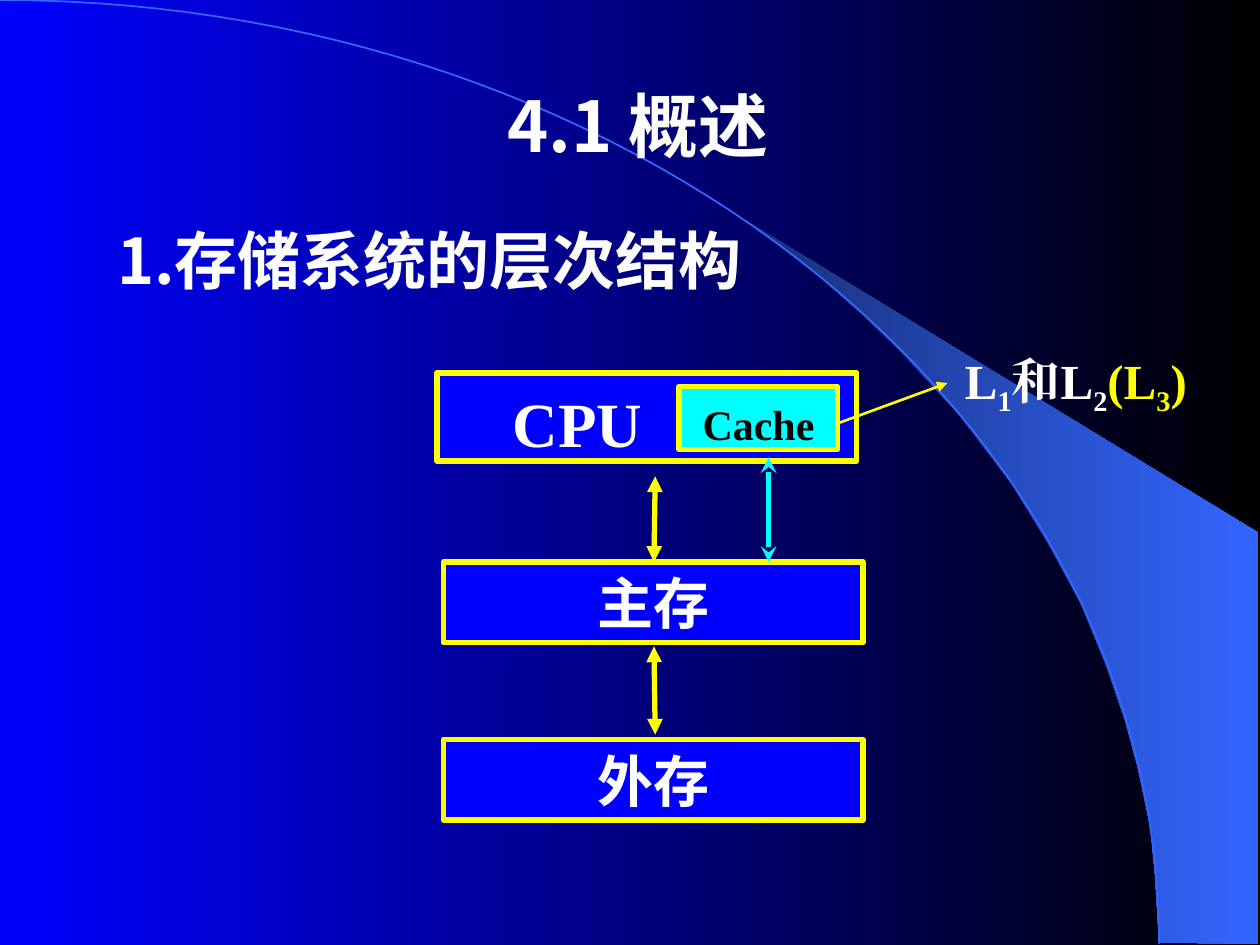
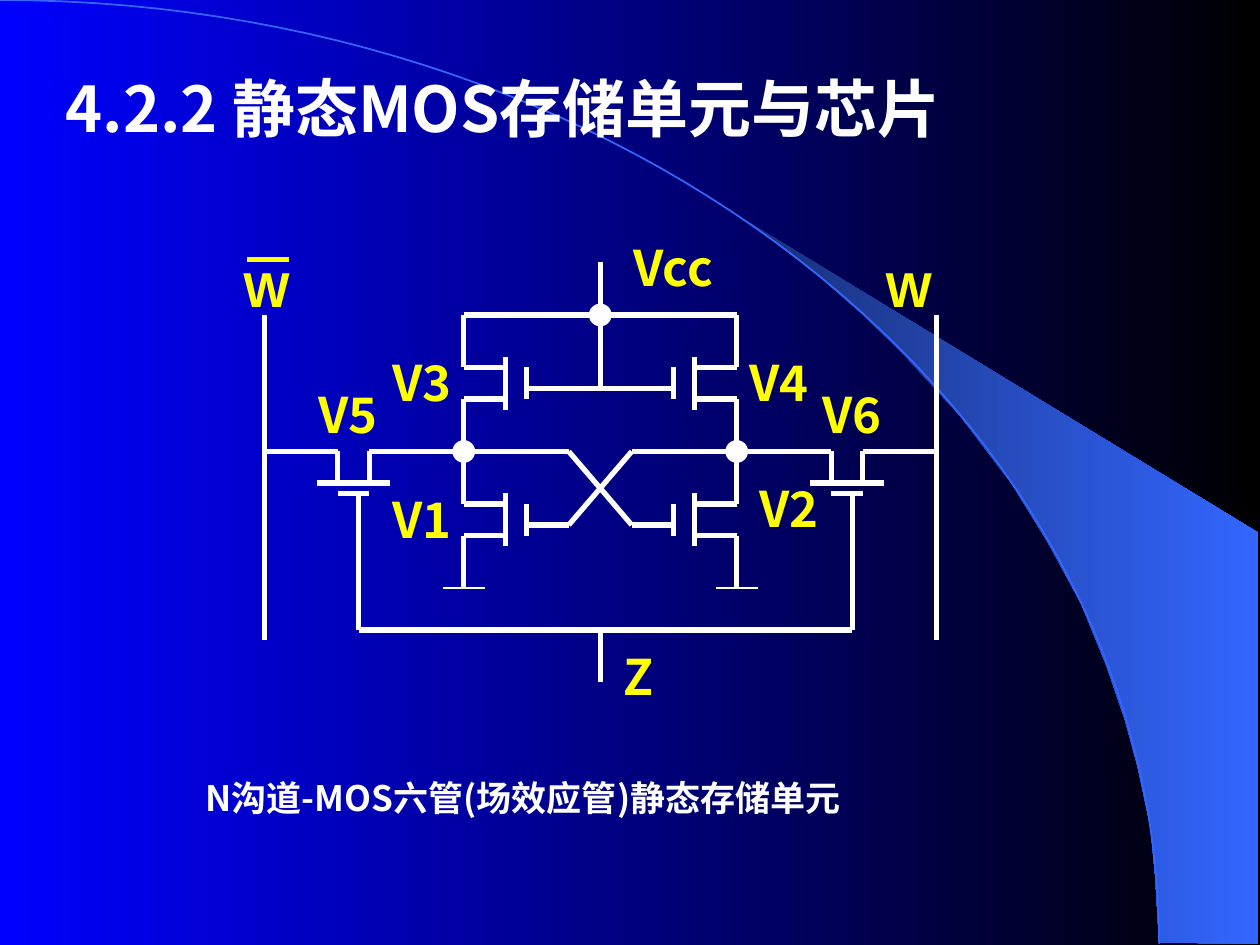
from lxml import etree
from pptx import Presentation
from pptx.dml.color import RGBColor
from pptx.enum.shapes import MSO_CONNECTOR, MSO_SHAPE
from pptx.enum.text import MSO_ANCHOR, MSO_AUTO_SIZE, PP_ALIGN
from pptx.oxml.ns import qn
from pptx.util import Pt

STRAIGHT = MSO_CONNECTOR.STRAIGHT
RECT, OVAL = MSO_SHAPE.RECTANGLE, MSO_SHAPE.OVAL
LEFT, CENTER = PP_ALIGN.LEFT, PP_ALIGN.CENTER
MIDDLE, NO_AUTOFIT = MSO_ANCHOR.MIDDLE, MSO_AUTO_SIZE.NONE

BLUE, BLACK, WHITE = "0000FF", "000000", "FFFFFF"
YELLOW, CYAN = "FFFF00", "00FFFF"
BAND_DARK, BAND_LIGHT = "182F76", "3366FF"
SANS, SERIF, ARIAL = "Noto Sans CJK SC", "Times New Roman", "Arial"
rgb = RGBColor.from_string


def write(sp, text, size, font=SANS, color=WHITE, align=LEFT,
          left=7.2, top=3.6, bottom=3.6):
    """Fill a shape with bold text, or with (text, colour, baseline) runs."""
    tf = sp.text_frame
    tf.word_wrap = True
    tf.auto_size = NO_AUTOFIT
    tf.vertical_anchor = MIDDLE
    tf.margin_left, tf.margin_right = Pt(left), Pt(7.2)
    tf.margin_top, tf.margin_bottom = Pt(top), Pt(bottom)
    p = tf.paragraphs[0]
    p.alignment = align
    p.space_before = Pt(0)
    runs = [(text, color, 0)] if isinstance(text, str) else text
    for part, part_color, baseline in runs:
        r = p.add_run()
        r.text = part
        r.font.size = Pt(size)
        r.font.bold = True
        r.font.name = font
        r.font.color.rgb = rgb(part_color)
        rPr = r._r.get_or_add_rPr()
        etree.SubElement(rPr, qn("a:ea")).set("typeface", font)
        if baseline:
            rPr.set("baseline", str(baseline * 1000))


def line(s, x1, y1, x2, y2, color=WHITE, width=3, head=None, tail=None):
    c = s.shapes.add_connector(STRAIGHT, Pt(x1), Pt(y1), Pt(x2), Pt(y2))
    c.line.color.rgb = rgb(color)
    c.line.width = Pt(width)
    spPr = c._element.spPr
    ln = spPr.find(qn("a:ln"))
    for tag, kind in (("a:headEnd", head), ("a:tailEnd", tail)):
        if kind:
            etree.SubElement(ln, qn(tag)).set("type", kind)
    etree.SubElement(spPr, qn("a:effectLst"))


prs = Presentation()
prs.slide_width, prs.slide_height = Pt(720), Pt(540)
layout = prs.slide_layouts[5]

# Slides and titles
titles = [
    ("4.1 概述", 40, CENTER, (229.7, 43.2, 270, 55.4)),
    ("4.2.2 静态MOS存储单元与芯片", 36, LEFT, (30.2, 36, 630, 50.4)),
]
slides = []
for text, size, align, (x, y, w, h) in titles:
    s = prs.slides.add_slide(layout)
    sp = s.shapes.title
    sp.left, sp.top, sp.width, sp.height = Pt(x), Pt(y), Pt(w), Pt(h)
    write(sp, text, size, align=align)
    slides.append(s)
hierarchy, cell = slides

# Shared background, light band and arc, kept on the layout
band_points = [
    (662.4, 538.6), (719.3, 539.3), (719.3, 304.6), (424.1, 124.6),
    (449.3, 143.3), (470.2, 159.8), (493.2, 180), (515.5, 201.6),
    (548.6, 237.6), (578.2, 276.5), (599, 310.3), (617.8, 344.9),
    (632.2, 380.2), (643, 411.8), (650.2, 438.5), (657.4, 472.3),
    (660.2, 501.1),
]
ARC_W, ARC_H, STEPS = 662.4, 539.3, 60
arc_points = []
for i in range(STEPS + 1):
    t = i / STEPS
    u = 1 - t
    x = 3 * u * u * t * 365.8 + (3 * u * t * t + t ** 3) * ARC_W
    y = 3 * u * t * t * 241.2 + t ** 3 * ARC_H
    arc_points.append((x, y))

outlines = []
for number, (points, closed) in enumerate([(band_points, True), (arc_points, False)]):
    emu = [(Pt(x), Pt(y)) for x, y in points]
    builder = hierarchy.shapes.build_freeform(*emu[0])
    builder.add_line_segments(emu[1:], close=closed)
    sp = builder.convert_to_shape()
    sp.shadow.inherit = False
    sp._element.nvSpPr.cNvPr.set("id", str(20 + number))
    layout.shapes.element.append(sp._element)
    outlines.append(sp)
band, arc = outlines
band.line.fill.background()
arc.fill.background()
arc.line.color.rgb = rgb(BAND_LIGHT)
arc.line.width = Pt(1)

for fill, start, end in [(layout.background.fill, BLUE, BLACK),
                         (band.fill, BAND_DARK, BAND_LIGHT)]:
    fill.gradient()
    fill.gradient_angle = 0
    for stop, color in zip(fill.gradient_stops, (start, end)):
        stop.color.rgb = rgb(color)

# Slide 1: memory hierarchy
s = hierarchy
sp = s.shapes.add_textbox(Pt(59.8), Pt(123.1), Pt(425.5), Pt(50.4))
write(sp, "1.存储系统的层次结构", 36)

low_latin = {"font": SERIF, "top": 6, "bottom": 0}
levels = [
    ("CPU", 249.8, 213.1, 239.8, 50.4, BLUE, {"size": 36, "left": 43.2, **low_latin}),
    ("Cache", 388.1, 221, 90.7, 36, CYAN,
     {"size": 24, "color": BLACK, "align": CENTER, **low_latin}),
    ("主存", 253.4, 321.1, 239.8, 46.1, BLUE, {"size": 32, "align": CENTER}),
    ("外存", 253.4, 422.6, 239.8, 46.1, BLUE, {"size": 32, "align": CENTER}),
]
for text, x, y, w, h, color, style in levels:
    sp = s.shapes.add_shape(RECT, Pt(x), Pt(y), Pt(w), Pt(h))
    sp.shadow.inherit = False
    sp.fill.solid()
    sp.fill.fore_color.rgb = rgb(color)
    sp.line.color.rgb = rgb(YELLOW)
    sp.line.width = Pt(3)
    write(sp, text, **style)

line(s, 374.4, 272.2, 373.7, 321.1, YELLOW, head="triangle", tail="triangle")
line(s, 439.2, 261.4, 439.2, 321.1, CYAN, head="stealth", tail="stealth")
line(s, 373.7, 369.4, 374.4, 419.8, YELLOW, head="triangle", tail="triangle")
line(s, 478.8, 241.9, 541.4, 218.9, YELLOW, 1.5, tail="triangle")

sp = s.shapes.add_textbox(Pt(544.3), Pt(196.6), Pt(175.7), Pt(45.4))
write(sp, [("L", WHITE, 0), ("1", WHITE, -25), ("和L", WHITE, 0), ("2", WHITE, -25),
           ("(L", YELLOW, 0), ("3", YELLOW, -25), (")", YELLOW, 0)], 28, SERIF)

# Slide 2: six-transistor cell, mirrored about a vertical axis
s = cell
AXIS, NODE_Y, ROW_STEP = 343, 258, 78
# Offsets from the axis and heights: x1, y1, x2, y2
transistor = [
    (78, 180, 78, 210), (78, 210, 54, 210), (78, 228, 54, 228),
    (54, 204, 54, 234), (78, 228, 78, 258), (42, 210, 42, 228),
    (42, 222, 18, 222),
]
access = [
    (132, 258, 78, 258), (132, 258, 132, 276), (150, 258, 150, 276),
    (162, 276, 120, 276), (192, 258, 150, 258), (150, 282, 132, 282),
]
wiring = [
    (78, 180, 0, 180), (18, 222, 0, 222), (78, 258, 18, 258),
    (18, 258, -18, 300), (192, 180, 192, 366),
]
lower = [(x1, y1 + ROW_STEP, x2, y2 + ROW_STEP) for x1, y1, x2, y2 in transistor]
for side in (-1, 1):
    for x1, y1, x2, y2 in transistor + lower + access + wiring:
        line(s, AXIS + side * x1, y1, AXIS + side * x2, y2)
    line(s, AXIS + side * 90, 336, AXIS + side * 66, 336, width=1.5)

GATE_LEFT, GATE_RIGHT, SELECT_Y = 205, 487, 360
for x in (GATE_LEFT, GATE_RIGHT):
    line(s, x, 282, x, SELECT_Y)
line(s, GATE_LEFT, SELECT_Y, GATE_RIGHT, SELECT_Y)
line(s, AXIS, SELECT_Y, AXIS, 390)
line(s, AXIS, 150, AXIS, 222)
line(s, 141, 148.3, 165, 148.3, YELLOW)

for x, y in [(AXIS, 180), (AXIS - 78, NODE_Y), (AXIS + 78, NODE_Y)]:
    sp = s.shapes.add_shape(OVAL, Pt(x - 6), Pt(y - 6), Pt(12), Pt(12))
    sp.shadow.inherit = False
    sp.fill.solid()
    sp.fill.fore_color.rgb = rgb(WHITE)
    sp.line.color.rgb = rgb(WHITE)
    sp.line.width = Pt(1)

labels = [
    ("Vcc", 355, 132, 102, SANS), ("V3", 217, 198, 60, SANS),
    ("V1", 217, 276, 60, SANS), ("V4", 421, 198, 60, SANS),
    ("V2", 427, 270, 60, SANS), ("V5", 175, 216, 66, SANS),
    ("V6", 463, 216, 66, SANS), ("Z", 349, 366, 30, SANS),
    ("W", 132, 144, 36, ARIAL), ("W", 499, 144, 72, ARIAL),
]
for text, x, y, w, font in labels:
    sp = s.shapes.add_textbox(Pt(x), Pt(y), Pt(w), Pt(41))
    write(sp, text, 28, font, YELLOW)

sp = s.shapes.add_textbox(Pt(110.2), Pt(439.9), Pt(463.7), Pt(31.7))
write(sp, "N沟道-MOS六管(场效应管)静态存储单元", 20)

prs.save("out.pptx")
